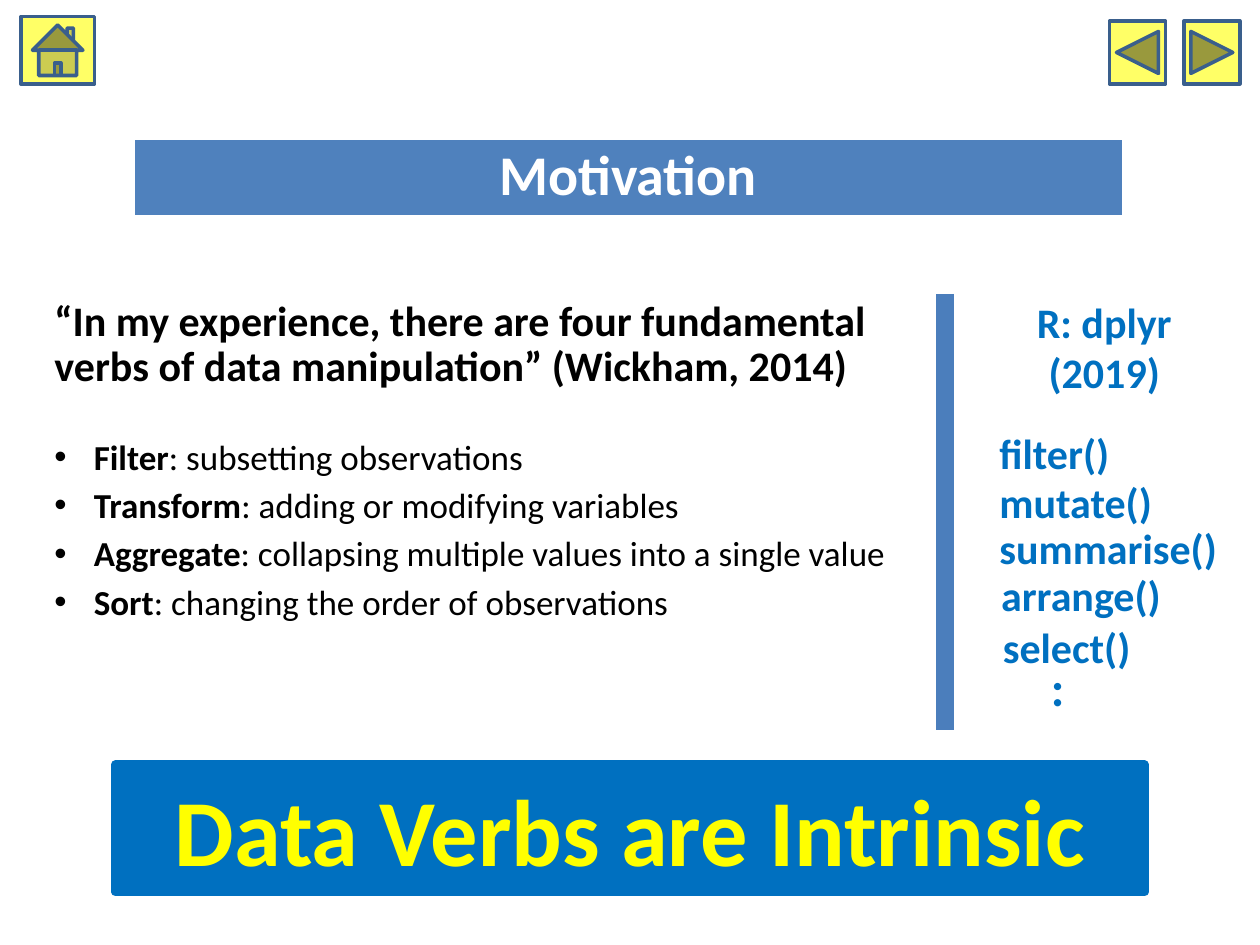
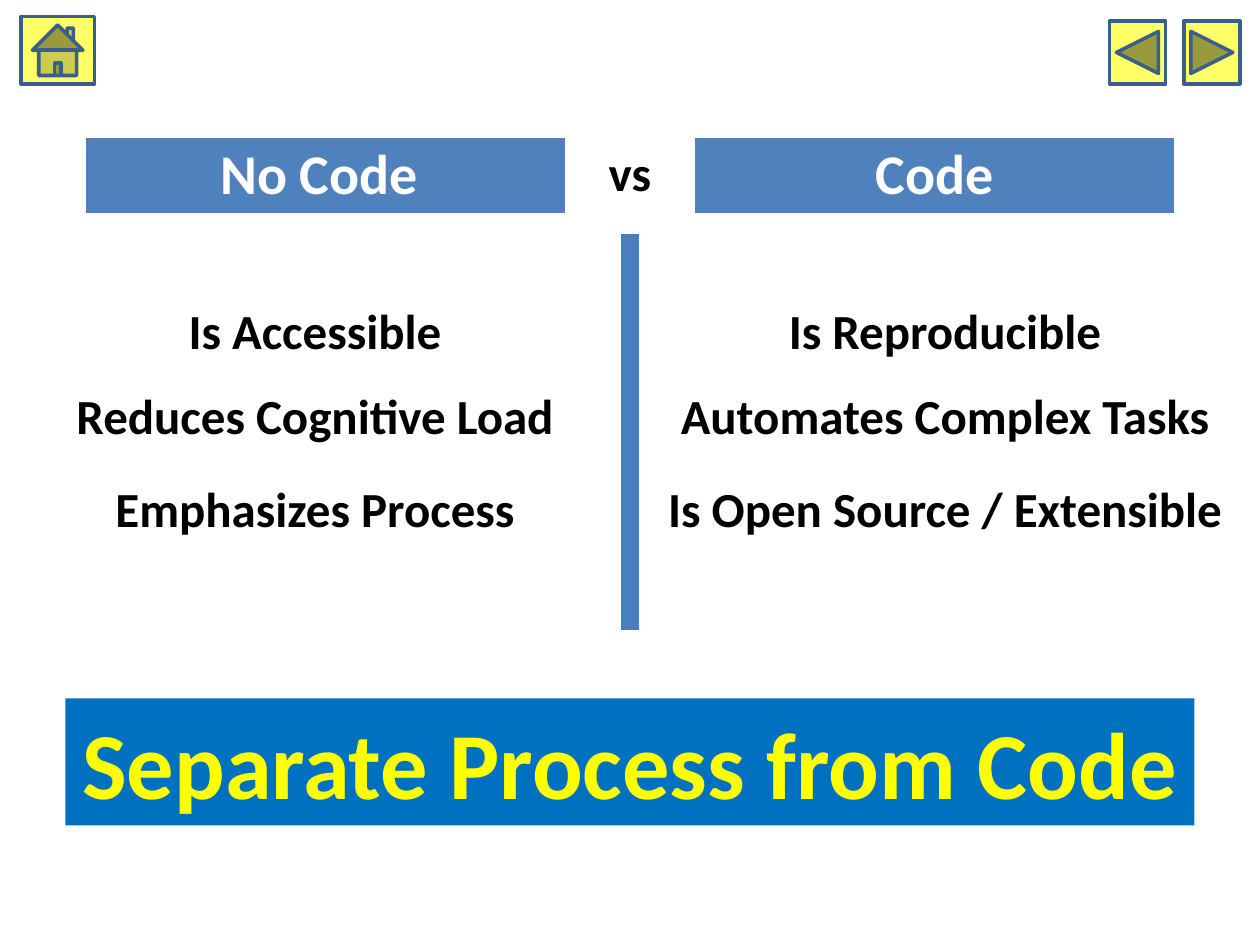
from dataclasses import dataclass

from lxml.etree import SubElement
from pptx import Presentation
from pptx.dml.color import RGBColor
from pptx.enum.shapes import MSO_CONNECTOR, MSO_SHAPE
from pptx.enum.text import MSO_ANCHOR, MSO_AUTO_SIZE, PP_ALIGN
from pptx.oxml.ns import qn
from pptx.util import Pt

# Content
HEADING = "Motivation"
QUOTE = ("“In my experience, there are four fundamental verbs of data "
         "manipulation” (Wickham, 2014)")
VERBS = [
    ("Filter", ": subsetting observations"),
    ("Transform", ": adding or modifying variables"),
    ("Aggregate", ": collapsing multiple values into a single value"),
    ("Sort", ": changing the order of observations"),
]
LIBRARY = ["R: dplyr", "(2019)"]
FUNCTIONS = [  # text, left, top
    ("filter()", 564, 241),
    ("mutate()", 564, 268.5),
    ("summarise()", 564, 295),
    ("arrange()", 565, 322),
    ("select()", 566, 351.5),
]
VERBS_MESSAGE = "Data Verbs are Intrinsic"

SIDES = [  # heading, its left, column left, points
    ("No Code ", 48, 0,
     ["Is Accessible", "Reduces Cognitive Load", "Emphasizes Process"]),
    ("Code", 396, 360,
     ["Is Reproducible", "Automates Complex Tasks", "Is Open Source / Extensible"]),
]
POINT_TOPS = [168.2, 216.7, 269.7]
CODE_MESSAGE = "Separate Process from Code"

BUTTONS = [  # shape, left, top, width, height
    (MSO_SHAPE.ACTION_BUTTON_HOME, 12, 9.5, 42, 38.5),
    (MSO_SHAPE.ACTION_BUTTON_FORWARD_OR_NEXT, 676.5, 12, 32, 36),
    (MSO_SHAPE.ACTION_BUTTON_BACK_OR_PREVIOUS, 634, 12, 32, 36),
]


@dataclass(frozen=True)
class Theme:
    font: str = "Calibri"
    black: str = "000000"
    white: str = "FFFFFF"
    band: str = "4F81BD"
    divider: str = "4B7EBC"
    strong: str = "0070C0"
    highlight: str = "FFFF00"
    button: str = "FFFF66"
    button_line: str = "3A5F8C"
    small: int = 20
    body: int = 24
    point: int = 28
    heading: int = 32
    message: int = 54


THEME = Theme()


# Text
def write_paragraph(frame, *runs, first=False, size=THEME.body, color=THEME.black,
                    align=PP_ALIGN.LEFT, spacing=1.0, after=0, bullet=False):
    """Write one paragraph; each run is a text with its bold flag."""
    para = frame.paragraphs[0] if first else frame.add_paragraph()
    para.alignment = align
    para.line_spacing = spacing
    para.space_before, para.space_after = Pt(0), Pt(after)
    for text, bold in runs:
        span = para.add_run()
        span.text = text
        span.font.name, span.font.size, span.font.bold = THEME.font, Pt(size), bold
        span.font.color.rgb = RGBColor.from_string(color)
    if bullet:
        properties = para._p.get_or_add_pPr()
        properties.set("marL", str(Pt(22.5)))
        properties.set("indent", str(Pt(-22.5)))
        SubElement(properties, qn("a:buFont")).set("typeface", "Arial")
        SubElement(properties, qn("a:buChar")).set("char", "•")


def prepare_frame(box, anchor=MSO_ANCHOR.TOP, side=7.2, end=3.6):
    frame = box.text_frame
    frame.word_wrap = True
    frame.auto_size = MSO_AUTO_SIZE.NONE
    frame.vertical_anchor = anchor
    frame.margin_left = frame.margin_right = Pt(side)
    frame.margin_top = frame.margin_bottom = Pt(end)
    return frame


def add_text(page, lines, left, top, width, height, **style):
    box = page.shapes.add_textbox(Pt(left), Pt(top), Pt(width), Pt(height))
    frame = prepare_frame(box)
    for number, line in enumerate(lines):
        write_paragraph(frame, (line, True), first=number == 0, **style)


# Shapes
def paint(box, fill, line=None, weight=2):
    box.fill.solid()
    box.fill.fore_color.rgb = RGBColor.from_string(fill)
    if line:
        box.line.color.rgb = RGBColor.from_string(line)
        box.line.width = Pt(weight)
    else:
        box.line.fill.background()


def add_shape(page, kind, left, top, width, height):
    box = page.shapes.add_shape(kind, Pt(left), Pt(top), Pt(width), Pt(height))
    box.shadow.inherit = False
    return box


def add_panel(page, left, top, width, height, is_title):
    if not is_title:
        return add_shape(page, MSO_SHAPE.RECTANGLE, left, top, width, height)
    title = page.shapes.title
    title.left, title.top = Pt(left), Pt(top)
    title.width, title.height = Pt(width), Pt(height)
    return title


def add_band(page, text, left, top, width, is_title=False):
    box = add_panel(page, left, top, width, 45, is_title)
    paint(box, THEME.band, THEME.white)
    write_paragraph(prepare_frame(box, MSO_ANCHOR.MIDDLE, 5, 5), (text, True), first=True,
                    size=THEME.heading, color=THEME.white, align=PP_ALIGN.CENTER,
                    spacing=0.9, after=6)


def add_message(page, text, left, top, width, line=None, is_title=False):
    box = add_panel(page, left, top, width, 72.7, is_title)
    paint(box, THEME.strong, line, 5)
    write_paragraph(prepare_frame(box, MSO_ANCHOR.MIDDLE, 3.6), (text, True), first=True,
                    size=THEME.message, color=THEME.highlight, align=PP_ALIGN.CENTER)


def add_divider(page, x, top, bottom):
    line = page.shapes.add_connector(MSO_CONNECTOR.STRAIGHT, Pt(x), Pt(top), Pt(x), Pt(bottom))
    line.line.color.rgb = RGBColor.from_string(THEME.divider)
    line.line.width = Pt(10)
    SubElement(line._element.spPr, qn("a:effectLst"))


def add_page(deck):
    page = deck.slides.add_slide(deck.slide_layouts.get_by_name("Title Only"))
    for button in BUTTONS:
        paint(add_shape(page, *button), THEME.button, THEME.button_line)
    return page


# Slides
def build_motivation(deck):
    page = add_page(deck)
    add_band(page, HEADING, 76, 79, 566, is_title=True)

    box = page.shapes.add_textbox(Pt(24), Pt(168), Pt(500), Pt(191))
    frame = prepare_frame(box)
    write_paragraph(frame, (QUOTE, True), first=True, spacing=0.9, after=28)
    for verb, meaning in VERBS:
        write_paragraph(frame, (verb, True), (meaning, False), size=THEME.small,
                        spacing=0.9, after=6, bullet=True)

    for name, left, top in FUNCTIONS:
        add_text(page, [name], left, top, 152, 36, color=THEME.strong)
    add_text(page, LIBRARY, 542, 165.6, 178, 65.5,
             color=THEME.strong, align=PP_ALIGN.CENTER)
    add_divider(page, 540, 168, 417)
    add_message(page, VERBS_MESSAGE, 66, 437, 588, line=THEME.strong)
    add_text(page, [":"], 566.6, 372, 75.6, 41, size=THEME.point,
             color=THEME.strong, align=PP_ALIGN.CENTER)


def build_comparison(deck):
    page = add_page(deck)
    centred = dict(size=THEME.point, align=PP_ALIGN.CENTER)
    for heading, band_left, column_left, points in SIDES:
        add_band(page, heading, band_left, 78, 276)
        for point, top in zip(points, POINT_TOPS):
            add_text(page, [point], column_left, top, 360, 41, **centred)
    add_text(page, ["vs"], 324, 78, 72, 41, **centred)
    add_divider(page, 360, 134, 360)
    add_message(page, CODE_MESSAGE, 37.4, 399, 645.2, is_title=True)


def main():
    deck = Presentation()
    deck.slide_width, deck.slide_height = Pt(720), Pt(540)
    build_motivation(deck)
    build_comparison(deck)
    deck.save("out.pptx")


if __name__ == "__main__":
    main()
